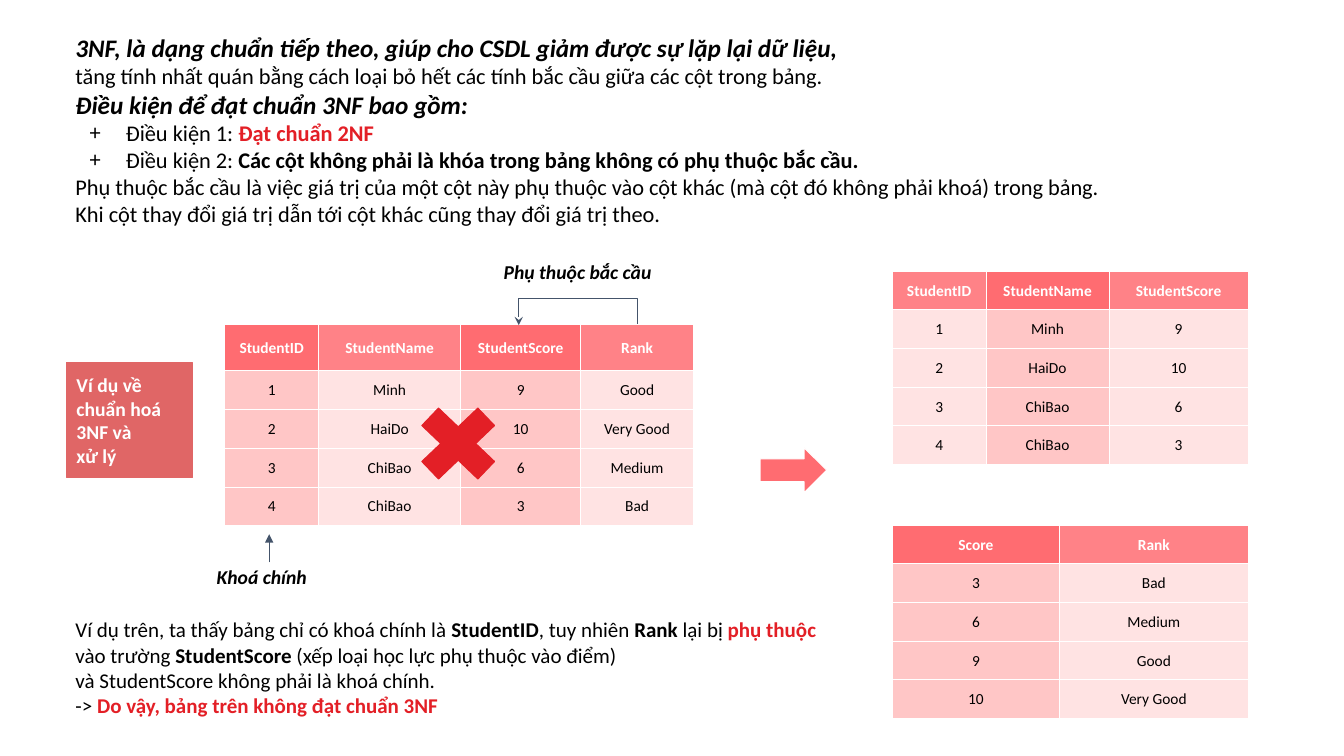
"""Builds a slide on the third normal form (3NF) with example tables."""
from lxml import etree
from pptx import Presentation
from pptx.dml.color import RGBColor
from pptx.enum import shapes, text
from pptx.oxml import parse_xml
from pptx.oxml.ns import qn
from pptx.util import Inches, Pt

NS = 'xmlns:a="http://schemas.openxmlformats.org/drawingml/2006/main"'
BLACK, WHITE, RED, CORAL, SLATE = "000000", "FFFFFF", "E31F26", "FF6C71", "44546A"
HEADER_FILLS = [CORAL, "FF8287"]
BODY_FILLS = ["FFC6C6", "FFE3E3"]
CENTER = text.PP_ALIGN.CENTER


def rgb(value):
    return RGBColor.from_string(value)


def write(tf, paragraphs, align=None, inset=0.1):
    """Fills a frame with paragraphs of (text, size, colour, bold, italic) runs."""
    tf.word_wrap = True
    tf.margin_top = tf.margin_bottom = Inches(inset)
    for i, runs in enumerate(paragraphs):
        p = tf.paragraphs[0] if i == 0 else tf.add_paragraph()
        p.alignment = align
        for words, size, color, bold, italic in runs:
            r = p.add_run()
            r.text = words
            r.font.name = "Calibri"
            r.font.size = Pt(size)
            r.font.color.rgb = rgb(color)
            r.font.bold = bold
            r.font.italic = italic


prs = Presentation()
prs.slide_width, prs.slide_height = Inches(13.33), Inches(7.5)
s = prs.slides.add_slide(prs.slide_layouts[6])

intro = [
    [("3NF, là dạng chuẩn tiếp theo, giúp cho CSDL giảm được sự lặp lại dữ liệu,", 18, BLACK, True, True)],
    [("tăng tính nhất quán bằng cách loại bỏ hết các tính bắc cầu giữa các cột trong bảng.", 16, BLACK, False, False)],
    [("Điều kiện để đạt chuẩn 3NF bao gồm:", 18, BLACK, True, True)],
    [("Điều kiện 1: ", 16, BLACK, False, False), ("Đạt chuẩn 2NF", 16, RED, True, False)],
    [("Điều kiện 2: ", 16, BLACK, False, False),
     ("Các cột không phải là khóa trong bảng không có phụ thuộc bắc cầu.", 16, BLACK, True, False)],
    [("Phụ thuộc bắc cầu là việc giá trị của một cột này phụ thuộc vào cột khác "
      "(mà cột đó không phải khoá) trong bảng.", 16, BLACK, False, False)],
    [("Khi cột thay đổi giá trị dẫn tới cột khác cũng thay đổi giá trị theo.", 16, BLACK, False, False)],
]
conclusion = [
    [("Ví dụ trên, ta thấy bảng chỉ có khoá chính là ", 15, BLACK, False, False),
     ("StudentID", 15, BLACK, True, False),
     (", tuy nhiên ", 15, BLACK, False, False),
     ("Rank", 15, BLACK, True, False),
     (" lại bị ", 15, BLACK, False, False),
     ("phụ thuộc", 15, RED, True, False),
     (" vào trường ", 15, BLACK, False, False),
     ("StudentScore", 15, BLACK, True, False),
     (" (xếp loại học lực phụ thuộc vào điểm)", 15, BLACK, False, False)],
    [("và StudentScore không phải là khoá chính.", 15, BLACK, False, False)],
    [("-> ", 15, BLACK, False, False),
     ("Do vậy, bảng trên không đạt chuẩn 3NF", 15, RED, True, False)],
]
key_label = [[("Khoá chính", 14, BLACK, True, True)]]
dependency_label = [[("Phụ thuộc bắc cầu", 14, BLACK, True, True)]]

for box, paragraphs, align, inset in [
    ((0.65, 0.27, 12.36, 2.05), intro, None, 0.05),
    ((0.65, 6.02, 7.57, 1.21), conclusion, None, 0.1),
    ((2.05, 5.5, 1.25, 0.44), key_label, None, 0.1),
    ((4.43, 2.48, 2.6, 0.44), dependency_label, CENTER, 0.1),
]:
    tf = s.shapes.add_textbox(*map(Inches, box)).text_frame
    write(tf, paragraphs, align, inset)
    if paragraphs is intro:
        for p in tf.paragraphs[3:5]:
            pPr = p._p.get_or_add_pPr()
            pPr.set("marL", str(Inches(0.5)))
            pPr.set("indent", str(Inches(-0.36)))
            pPr.append(parse_xml(f'<a:buClr {NS}><a:srgbClr val="{BLACK}"/></a:buClr>'))
            pPr.append(parse_xml(f'<a:buFont {NS} typeface="Calibri"/>'))
            pPr.append(parse_xml(f'<a:buChar {NS} char="+"/>'))

students = [
    ("StudentID", "StudentName", "StudentScore", "Rank"),
    ("1", "Minh", "9", "Good"),
    ("2", "HaiDo", "10", "Very Good"),
    ("3", "ChiBao", "6", "Medium"),
    ("4", "ChiBao", "3", "Bad"),
]
scores = [row[:3] for row in students]
ranks = [("Score", "Rank"), ("3", "Bad"), ("6", "Medium"), ("9", "Good"), ("10", "Very Good")]

for left, top, widths, header_height, rows, shade, anchor in [
    (2.23, 3.22, (0.93, 1.41, 1.19, 1.12), 0.46, students, 0, text.MSO_ANCHOR.MIDDLE),
    (8.85, 2.69, (0.93, 1.22, 1.38), 0.38, scores, 1, text.MSO_ANCHOR.TOP),
    (8.85, 5.21, (1.66, 1.87), 0.38, ranks, 0, text.MSO_ANCHOR.TOP),
]:
    height = header_height + 0.38 * (len(rows) - 1)
    table = s.shapes.add_table(len(rows), len(widths), Inches(left), Inches(top),
                               Inches(sum(widths)), Inches(height)).table
    table.horz_banding = False
    for column, width in zip(table.columns, widths):
        column.width = Inches(width)
    for i, values in enumerate(rows):
        table.rows[i].height = Inches(0.38 if i else header_height)
        fills = BODY_FILLS if i else HEADER_FILLS
        for j, value in enumerate(values):
            cell = table.cell(i, j)
            write(cell.text_frame, [[(value, 11, BLACK if i else WHITE, i == 0, False)]], CENTER)
            cell.margin_top = cell.margin_bottom = Inches(0.1)
            cell.vertical_anchor = anchor
            tcPr = cell._tc.get_or_add_tcPr()
            for side in ("lnL", "lnR", "lnT", "lnB"):
                tcPr.append(parse_xml(
                    f'<a:{side} {NS} w="{Pt(0.75)}"><a:solidFill>'
                    f'<a:srgbClr val="{WHITE}"/></a:solidFill></a:{side}>'))
            cell.fill.solid()
            cell.fill.fore_color.rgb = rgb(fills[(j + shade) % 2])

example = [[(words, 14, WHITE, True, False)] for words in ("Ví dụ về", "chuẩn hoá 3NF và", "xử lý")]
for kind, box, fill, line, paragraphs in [
    (shapes.MSO_SHAPE.RECTANGLE, (0.66, 3.6, 1.25, 1.14), "E06666", "E06666", example),
    (shapes.MSO_SHAPE.MATH_MULTIPLY, (4.01, 3.89, 1.07, 1.02), RED, RED, []),
    (shapes.MSO_SHAPE.RIGHT_ARROW, (7.54, 4.44, 0.66, 0.45), CORAL, WHITE, []),
]:
    sp = s.shapes.add_shape(kind, *map(Inches, box))
    sp.shadow.inherit = False
    sp.fill.solid()
    sp.fill.fore_color.rgb = rgb(fill)
    sp.line.color.rgb = rgb(line)
    sp.line.width = Pt(0.75)
    sp.text_frame.vertical_anchor = text.MSO_ANCHOR.TOP
    write(sp.text_frame, paragraphs, text.PP_ALIGN.LEFT)

key_arrow = s.shapes.add_connector(
    shapes.MSO_CONNECTOR.STRAIGHT, Inches(2.67), Inches(5.58), Inches(2.67), Inches(5.3))
dependency_arrow = s.shapes.add_connector(
    shapes.MSO_CONNECTOR.ELBOW, Inches(5.73), Inches(2.63), Inches(5.74), Inches(3.81))
spPr = dependency_arrow._element.spPr
spPr.find(qn("a:xfrm")).set("rot", "5400000")
guides = spPr.find(qn("a:prstGeom")).get_or_add_avLst()
etree.SubElement(guides, qn("a:gd"), name="adj1", fmla="val -2600000")

for connector, head in [(key_arrow, "triangle"), (dependency_arrow, "stealth")]:
    connector.line.color.rgb = rgb(SLATE)
    connector.line.width = Pt(0.75)
    etree.SubElement(connector.line._get_or_add_ln(), qn("a:tailEnd"), type=head)
    etree.SubElement(connector._element.spPr, qn("a:effectLst"))

prs.save("out.pptx")
